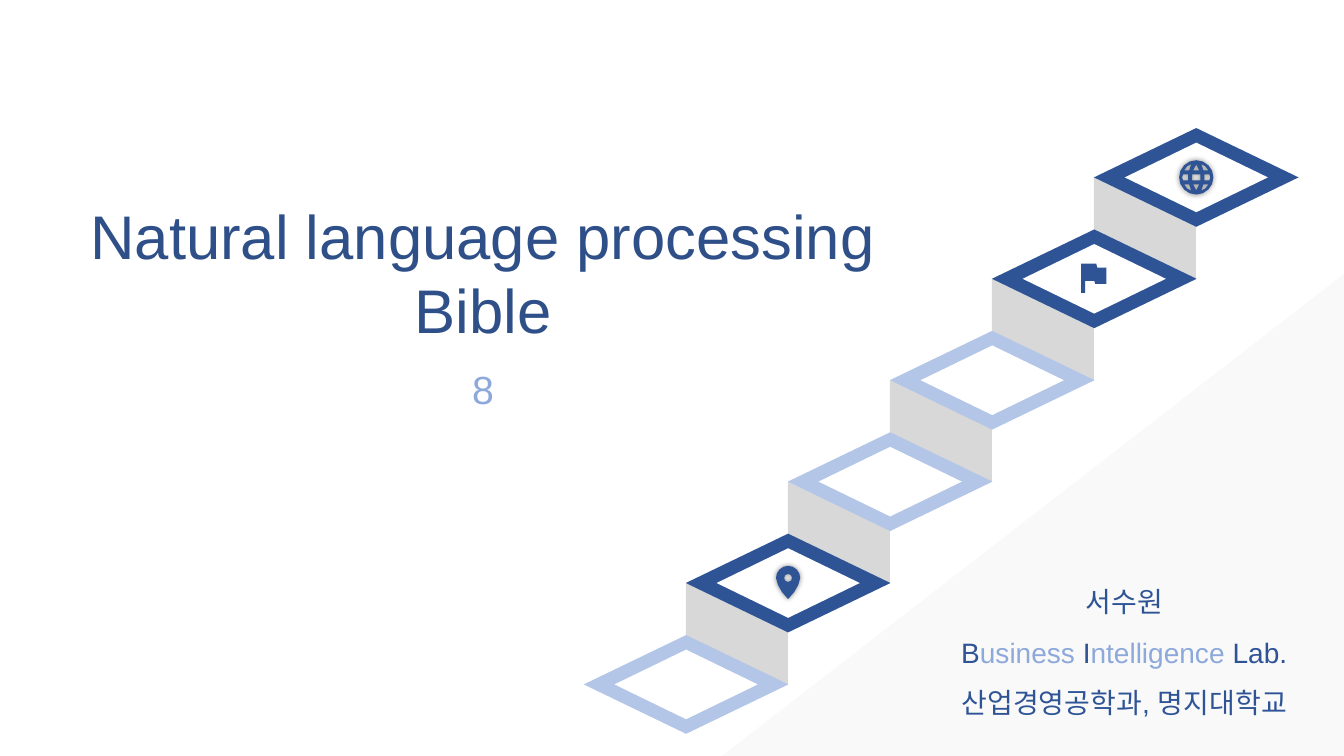
from dataclasses import dataclass
from math import cos, pi, sin

from lxml.etree import SubElement
from pptx import Presentation
from pptx.dml.color import RGBColor
from pptx.enum.shapes import MSO_SHAPE
from pptx.enum.text import MSO_ANCHOR, MSO_AUTO_SIZE, PP_ALIGN
from pptx.oxml.ns import qn
from pptx.util import Inches, Pt


@dataclass(frozen=True)
class Theme:
    font: str = "Arial"
    head: str = "2E4F88"
    dark: str = "2F5496"
    soft: str = "8DA9DB"
    pale: str = "B3C6E7"
    wall: str = "D8D8D8"
    shade: str = "F2F2F2"
    white: str = "FFFFFF"
    black: str = "000000"
    big: int = 44
    mid: int = 28
    small: int = 20


THEME = Theme()
FRAME = dict(margin_left=0, margin_right=0, margin_top=0, margin_bottom=0,
             word_wrap=True, auto_size=MSO_AUTO_SIZE.NONE,
             vertical_anchor=MSO_ANCHOR.MIDDLE)


# Shared helpers
def apply(item, values):
    for name, value in values.items():
        setattr(item, name, value)


def place(item, box):
    names = ("left", "top", "width", "height")
    apply(item, dict(zip(names, map(Inches, box))))


def paint(shape, color):
    shape.shadow.inherit = False
    shape.fill.solid()
    shape.fill.fore_color.rgb = RGBColor.from_string(color)
    shape.line.fill.background()
    return shape


def draw(slide, kind, box, color):
    return paint(slide.shapes.add_shape(kind, *map(Inches, box)), color)


def write(shape, lines, size, space=1.0):
    """Each line is a list of (text, color) runs."""
    frame = shape.text_frame
    apply(frame, FRAME)
    for i, line in enumerate(lines):
        para = frame.add_paragraph() if i else frame.paragraphs[0]
        apply(para, dict(alignment=PP_ALIGN.CENTER, line_spacing=space,
                         space_before=Pt(0), space_after=Pt(0)))
        for text, color in line:
            run = para.add_run()
            run.text = text
            apply(run.font, dict(name=THEME.font, size=Pt(size), bold=False))
            run.font.color.rgb = RGBColor.from_string(color)


# Icon outlines, in inches around their centre
def ring(radius, count, mid=0, start=0, sweep=2 * pi):
    turns = [start + sweep * i / count for i in range(count)]
    return [(radius * cos(t), mid + radius * sin(t)) for t in turns]


def flip(points, across, down):
    return [(x * across, y * down) for x, y in points]


def pin():
    side = [(0.12, -0.05), (0.1, 0.02), (0.06, 0.09)]
    body = ring(0.12, 8, -0.05, pi, pi) + side + [(0, 0.16)]
    return [body + flip(side[:0:-1], -1, 1), ring(0.04, 8, -0.05)]


def globe():
    pole = [(0, -0.13), (0.03, -0.07), (-0.03, -0.07)]
    slot = [(0.04, -0.03), (0.04, 0.03), (-0.04, 0.03), (-0.04, -0.03)]
    side = [(0.08, -0.03), (0.13, -0.03), (0.14, 0), (0.13, 0.03), (0.08, 0.03)]
    edge = [(0.07, -0.07), (0.12, -0.07), (0.09, -0.11), (0.05, -0.13)]
    parts = [ring(0.17, 16), slot]
    for sign in (1, -1):
        parts += [flip(pole, 1, sign), flip(side, sign, 1),
                  flip(edge, sign, 1), flip(edge, sign, -1)]
    return parts


def flag():
    return [[(0.03, -0.11), (0.02, -0.15), (-0.13, -0.15), (-0.13, 0.14),
             (-0.09, 0.14), (-0.09, 0.02), (0, 0.02), (0.01, 0.05),
             (0.12, 0.05), (0.12, -0.11)]]


def icon(slide, parts, x, y, glow):
    paths = [[(Inches(x + a), Inches(y + b)) for a, b in part] for part in parts]
    pen = slide.shapes.build_freeform(*paths[0][0])
    for i, path in enumerate(paths):
        if i:
            pen.move_to(*path[0])
        pen.add_line_segments(path[1:], close=True)
    shape = paint(pen.convert_to_shape(), THEME.dark)
    if glow:
        effect = shape.element.spPr.find(qn("a:effectLst"))
        cast = SubElement(effect, qn("a:outerShdw"), blurRad=str(Pt(4)),
                          dist="0", dir="0")
        tint = SubElement(cast, qn("a:srgbClr"), val=THEME.black)
        SubElement(tint, qn("a:alpha"), val="45000")


# Regions
def corner(slide, box):
    shape = draw(slide, MSO_SHAPE.RIGHT_TRIANGLE, box, THEME.shade)
    shape.element.spPr.xfrm.set("flipH", "1")
    color = shape.element.spPr.find(".//" + qn("a:srgbClr"))
    SubElement(color, qn("a:alpha"), val="40000")


def stairs(slide, box):
    left, top, width, height = box
    wide, high = 2.03, 0.98
    inner, lower = 1.42, 0.69
    steps = [(THEME.pale, None, False), (THEME.dark, pin, True),
             (THEME.pale, None, False), (THEME.pale, None, False),
             (THEME.dark, flag, False), (THEME.dark, globe, True)]
    gaps = len(steps) - 1
    run, rise = (width - wide) / gaps, (height - high) / gaps
    spots = [(left + i * run, top + (gaps - i) * rise)
             for i in range(len(steps))]
    # Walls below every step but the first
    for x, y in spots[1:]:
        wall = draw(slide, MSO_SHAPE.PARALLELOGRAM,
                    (x, y + high / 2, run, run), THEME.wall)
        wall.rotation = 270
        wall.adjustments[0] = 0.47
    # Treads and icons
    for (x, y), (color, sign, glow) in zip(spots, steps):
        draw(slide, MSO_SHAPE.DIAMOND, (x, y, wide, high), color)
        draw(slide, MSO_SHAPE.DIAMOND,
             (x + (wide - inner) / 2, y + (high - lower) / 2, inner, lower),
             THEME.white)
        if sign:
            icon(slide, sign(), x + wide / 2, y + high / 2, glow)


def heading(slide, box):
    left, top, width, height = box
    title, sub = slide.placeholders
    place(title, (left, top, width, 1.48))
    write(title, [[("Natural language processing", THEME.head)],
                  [("Bible", THEME.head)]], THEME.big)
    place(sub, (left, top + height - 0.47, width, 0.47))
    write(sub, [[("8", THEME.soft)]], THEME.mid)


def credit(slide, box):
    dark, soft = THEME.dark, THEME.soft
    note = slide.shapes.add_textbox(*map(Inches, box))
    write(note, [[("서수원", dark)],
                 [("B", dark), ("usiness ", soft), ("I", dark),
                  ("ntelligence ", soft), ("Lab.", dark)],
                 [("산업경영공학과, 명지대학교", dark)]], THEME.small, 1.5)


def main():
    deck = Presentation()
    apply(deck, dict(slide_width=Inches(13.33), slide_height=Inches(7.5)))
    slide = deck.slides.add_slide(deck.slide_layouts[0])
    corner(slide, (7.16, 2.71, 6.18, 4.79))
    stairs(slide, (5.79, 1.27, 7.09, 6.01))
    heading(slide, (0.45, 1.96, 8.68, 2.13))
    credit(slide, (9.31, 5.63, 3.68, 1.51))
    deck.save("out.pptx")


if __name__ == "__main__":
    main()
